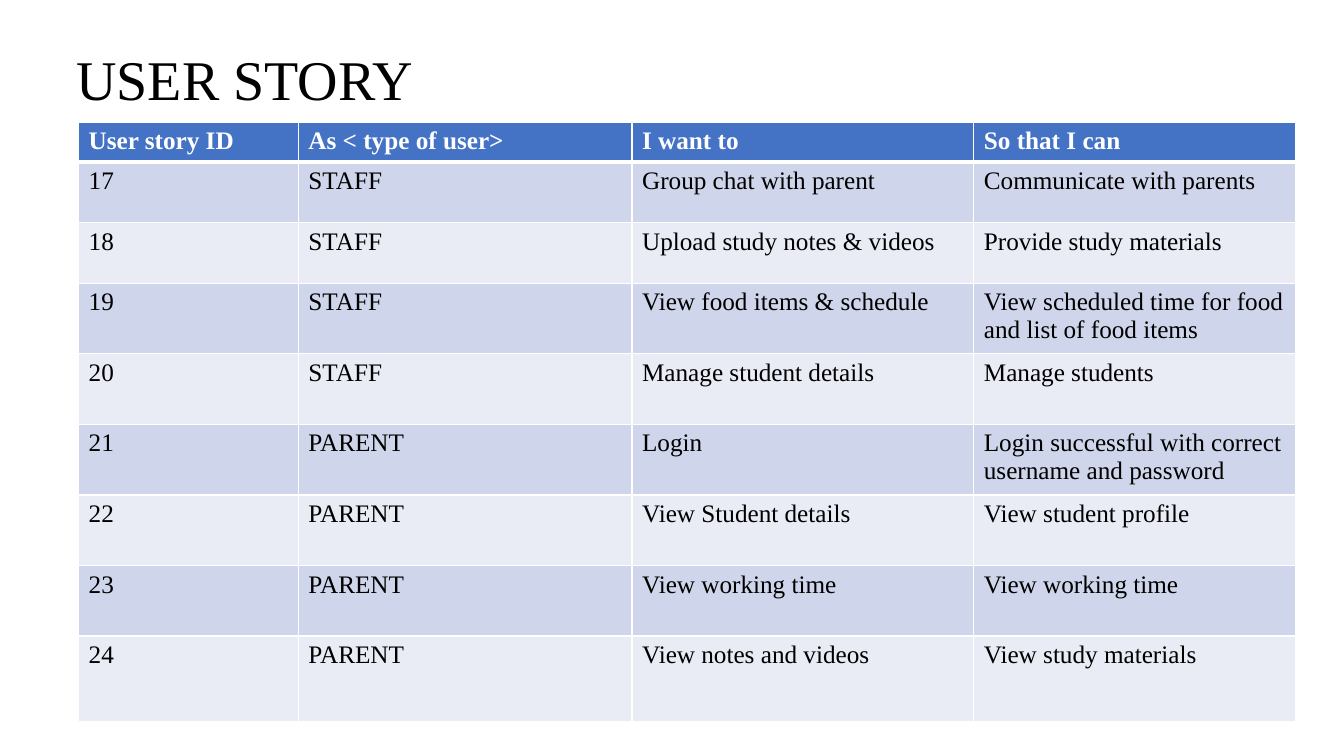
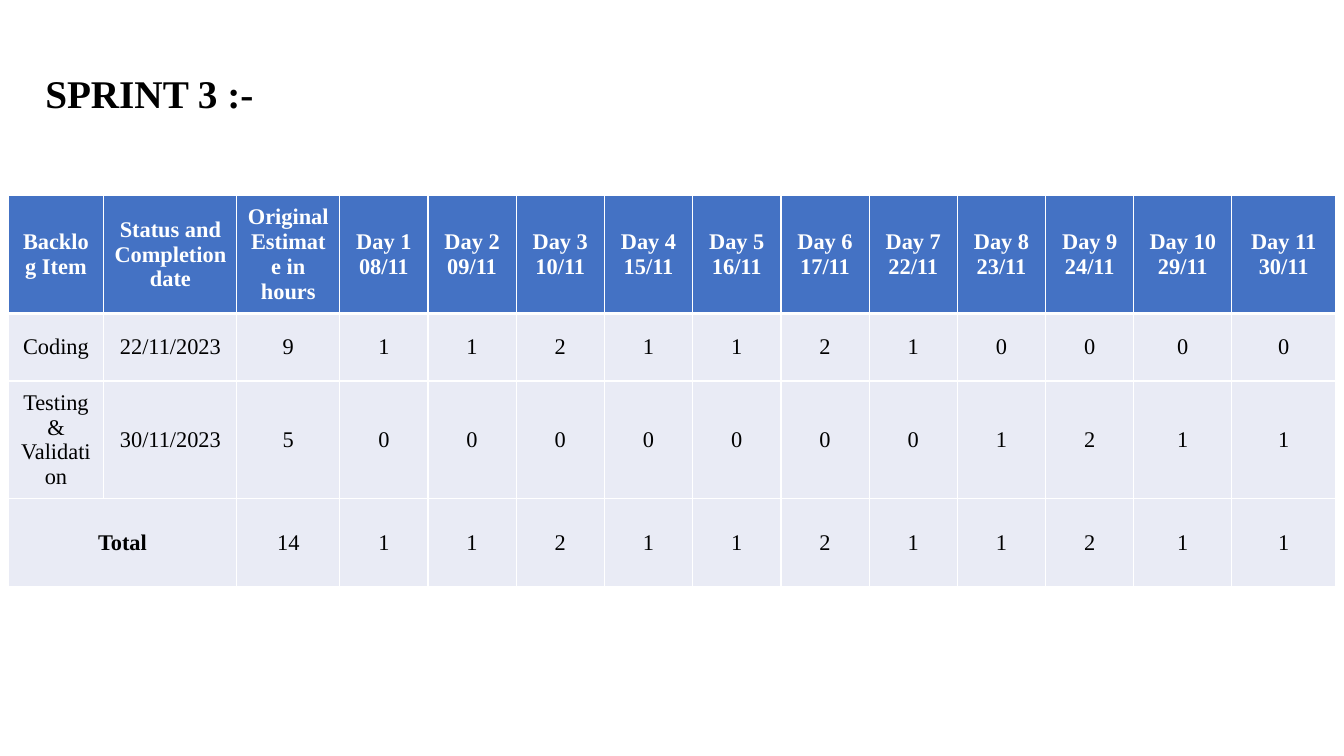
"""Build a user story table and a sprint effort table as two slides."""
from dataclasses import dataclass

from lxml import etree
from pptx import Presentation
from pptx.dml.color import RGBColor
from pptx.enum.text import MSO_ANCHOR, MSO_AUTO_SIZE, PP_ALIGN
from pptx.oxml.ns import qn
from pptx.util import Inches, Pt

LEFT, CENTER = PP_ALIGN.LEFT, PP_ALIGN.CENTER
TOP, MIDDLE = MSO_ANCHOR.TOP, MSO_ANCHOR.MIDDLE
GROW = MSO_AUTO_SIZE.SHAPE_TO_FIT_TEXT
BLANK = 6
SLIDE_W, SLIDE_H = Inches(13.33), Inches(7.5)


@dataclass(frozen=True)
class Theme:
    font: str = "Times New Roman"
    ink: str = "000000"
    paper: str = "FFFFFF"
    header: str = "4472C4"
    band_dark: str = "CFD5EA"
    band_light: str = "E9EBF5"
    title_size: int = 40
    sprint_title_size: int = 28
    story_size: int = 18
    sprint_size: int = 16
    rule: int = 1
    header_rule: int = 3


THEME = Theme()

STORY_HEADINGS = ("User story ID", "As < type of user>", "I want to", "So that I can")
FIRST_STORY = 17
STORIES = (
    ("STAFF", "Group chat with parent", "Communicate with parents"),
    ("STAFF", "Upload study notes & videos", "Provide study materials"),
    ("STAFF", "View food items & schedule",
     "View scheduled time for food and list of food items"),
    ("STAFF", "Manage student details", "Manage students"),
    ("PARENT", "Login", "Login successful with correct username and password"),
    ("PARENT", "View Student details", "View student profile"),
    ("PARENT", "View working time", "View working time"),
    ("PARENT", "View notes and videos", "View study materials"),
)
SPRINT_HEADINGS = ("Backlog Item", "Status and\nCompletion date", "Original Estimate in hours")
SPRINT_DATES = ("08/11", "09/11", "10/11", "15/11", "16/11", "17/11",
                "22/11", "23/11", "24/11", "29/11", "30/11")
CODING_HOURS = (9, 1, 1, 2, 1, 1, 2, 1, 0, 0, 0, 0)
TESTING_HOURS = (5, 0, 0, 0, 0, 0, 0, 0, 1, 2, 1, 1)


def across(percent):
    """Return a horizontal length as a percentage of the slide width."""
    return round(SLIDE_W * percent / 100)


def down(percent):
    """Return a vertical length as a percentage of the slide height."""
    return round(SLIDE_H * percent / 100)


def write(frame, text, size, color, bold, align):
    """Fill a text frame with one formatted paragraph per line."""
    frame.text = text
    for paragraph in frame.paragraphs:
        paragraph.alignment = align
        look = {"name": THEME.font, "size": Pt(size), "bold": bold}
        font = paragraph.runs[0].font
        for key, value in look.items():
            setattr(font, key, value)
        font.color.rgb = RGBColor.from_string(color)


def add_title(slide, text, left, top, width, height, size, bold=False):
    """Add a slide title that grows with its text."""
    frame = slide.shapes.add_textbox(
        across(left), down(top), across(width), down(height)).text_frame
    for key, value in {"word_wrap": True, "auto_size": GROW}.items():
        setattr(frame, key, value)
    write(frame, text, size, THEME.ink, bold, LEFT)


def add_borders(cell, top, bottom):
    """Rule the four sides of a cell in the paper colour."""
    widths = {"lnL": THEME.rule, "lnR": THEME.rule, "lnT": top, "lnB": bottom}
    for side, width in widths.items():
        line = etree.SubElement(cell._tc.get_or_add_tcPr(), qn(f"a:{side}"), w=str(Pt(width)))
        paint = etree.SubElement(line, qn("a:solidFill"))
        etree.SubElement(paint, qn("a:srgbClr"), val=THEME.paper)


def add_grid(slide, left, top, widths, heights, rows, bands, size,
             align=LEFT, anchor=TOP, bold_words=()):
    """Add a table with a header row and body rows that cycle through the bands."""
    table = slide.shapes.add_table(
        len(rows), len(widths), across(left), down(top),
        across(sum(widths)), down(sum(heights))).table
    for column, width in zip(table.columns, widths):
        column.width = across(width)
    for row, height in zip(table.rows, heights):
        row.height = down(height)
    for r, words in enumerate(rows):
        is_header = r == 0
        fill = THEME.header if is_header else bands[(r - 1) % len(bands)]
        color = THEME.paper if is_header else THEME.ink
        for c, word in enumerate(words):
            cell = table.cell(r, c)
            add_borders(cell,
                        THEME.header_rule if r == 1 else THEME.rule,
                        THEME.header_rule if is_header else THEME.rule)
            cell.fill.solid()
            cell.fill.fore_color.rgb = RGBColor.from_string(fill)
            cell.vertical_anchor = anchor
            if word:
                write(cell.text_frame, word, size, color,
                      is_header or word in bold_words, align)
    return table


def build_user_stories(slide):
    """Lay out the user story slide."""
    add_title(slide, "USER STORY", 4.95, 5.2, 50, 10.27, THEME.title_size)
    stories = [(str(number), *story) for number, story in enumerate(STORIES, FIRST_STORY)]
    add_grid(slide, 5.85, 16.13, (16.35, 24.83, 25.43, 23.93),
             (5.33, 8, 8, *[9.33] * 5, 11.33), [STORY_HEADINGS, *stories],
             (THEME.band_dark, THEME.band_light), THEME.story_size)


def build_sprint(slide):
    """Lay out the sprint slide with totals worked out from the hours."""
    add_title(slide, "SPRINT 3 :-", 2.63, 8.53, 30.6, 7.6, THEME.sprint_title_size, bold=True)
    days = [f"Day {number}\n{date}" for number, date in enumerate(SPRINT_DATES, 1)]
    totals = [sum(hours) for hours in zip(CODING_HOURS, TESTING_HOURS)]
    rows = [
        (*SPRINT_HEADINGS, *days),
        ("Coding", "22/11/2023", *map(str, CODING_HOURS)),
        ("Testing &\nValidation", "30/11/2023", *map(str, TESTING_HOURS)),
        ("Total", "", *map(str, totals)),
    ]
    lead, last_days = (7.13, 9.9, 7.65), (7.28, 7.73)
    day_count = len(days) - len(last_days)
    day = (98.8 - sum(lead) - sum(last_days)) / day_count
    table = add_grid(slide, 0.6, 25.87, (*lead, *[day] * day_count, *last_days),
                     (15.6, 8.93, 15.6, 11.6), rows, (THEME.band_light,),
                     THEME.sprint_size, CENTER, MIDDLE, bold_words=("Total",))
    table.cell(3, 0).merge(table.cell(3, 1))


def main():
    """Build and save the presentation."""
    deck = Presentation()
    for key, value in {"slide_width": SLIDE_W, "slide_height": SLIDE_H}.items():
        setattr(deck, key, value)
    for build in (build_user_stories, build_sprint):
        build(deck.slides.add_slide(deck.slide_layouts[BLANK]))
    deck.save("out.pptx")


if __name__ == "__main__":
    main()
